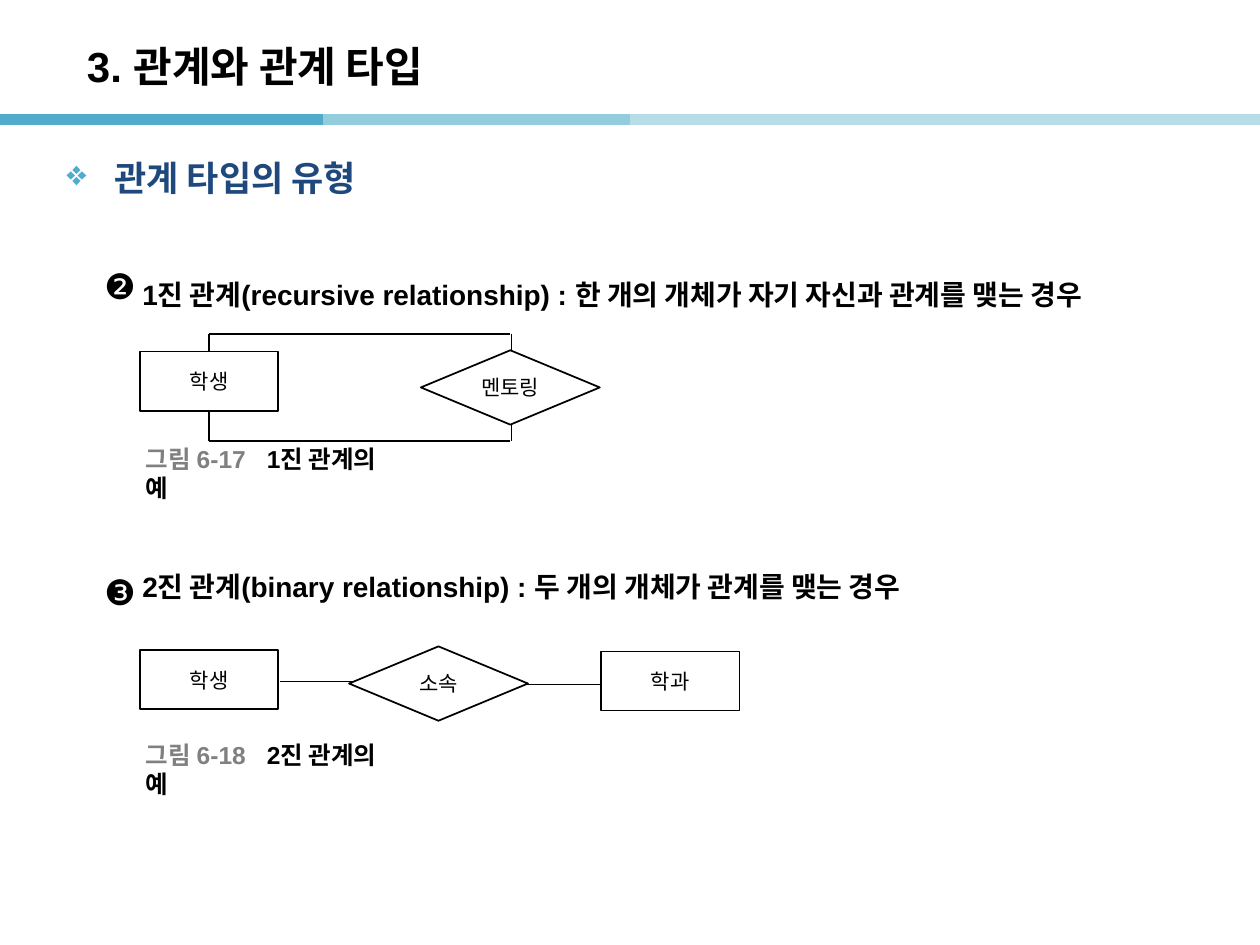
from typing import NamedTuple

from pptx import Presentation
from pptx.dml.color import RGBColor as Rgb
from pptx.enum.shapes import MSO_CONNECTOR as Conn, MSO_SHAPE as Kind
from pptx.enum.text import MSO_ANCHOR as Anchor, MSO_AUTO_SIZE as Fit, PP_ALIGN as Align
from pptx.oxml.ns import qn
from pptx.util import Inches, Pt

HUES = {
    "black": "000000", "white": "FFFFFF", "gray": "808080", "navy": "1F497D",
    "teal": "50ABCC", "aqua": "93CDDD", "pale": "B7DEE8",
}


class Line(NamedTuple):
    x1: float
    y1: float
    x2: float
    y2: float
    hue: str = "black"
    size: float = 0.75


class Node(NamedTuple):
    text: str
    x: float
    y: float
    kind: Kind = Kind.RECTANGLE


class Label(NamedTuple):
    num: str
    text: str
    y: float


BARS = [
    Line(0, 0.95, 2.56, 0.95, "teal", 6),
    Line(2.56, 0.95, 5.12, 0.95, "aqua", 6),
    Line(5, 0.95, 7.56, 0.95, "pale", 6),
    Line(7.46, 0.95, 10.02, 0.95, "pale", 6),
]
LOOP = [
    line
    for edge, side in ((2.65, 2.93), (3.5, 3.19))
    for line in (
        Line(4.05, edge, 1.66, edge),
        Line(1.66, edge, 1.66, side),
        Line(4.06, edge, 4.06, side),
    )
]
LINKS = [Line(4.76, 5.43, 4.18, 5.43), Line(2.79, 5.41, 2.22, 5.41)]
SIZES = {Kind.RECTANGLE: (1.1, 0.47), Kind.FLOWCHART_DECISION: (1.42, 0.59)}
NODES = [
    Node("학생", 1.11, 2.79),
    Node("멘토링", 3.34, 2.78, Kind.FLOWCHART_DECISION),
    Node("학과", 4.77, 5.17),
    Node("소속", 2.77, 5.13, Kind.FLOWCHART_DECISION),
    Node("학생", 1.11, 5.16),
]
NOTES = [
    Label("그림 6-17", "1진 관계의 예", 3.6),
    Label("그림 6-18", "2진 관계의 예", 5.95),
]
MARKS = [("❷", 2.11), ("❸", 4.54)]
ITEMS = [
    "1진 관계(recursive relationship) : 한 개의 개체가 자기 자신과 관계를 맺는 경우",
    "2진 관계(binary relationship) : 두 개의 개체가 관계를 맺는 경우",
]


def tint(hue: str) -> Rgb:
    return Rgb.from_string(HUES[hue])


def add_run(para, text: str, size: float, hue: str = "black", bold: bool = True) -> None:
    run = para.add_run()
    run.text = text
    font = run.font
    font.name, font.size, font.bold = "Arial", Pt(size), bold
    font.color.rgb = tint(hue)


def add_tag(para, name: str, **attrs: str):
    tag = para._p.get_or_add_pPr().makeelement(qn(name), attrs)
    para._p.get_or_add_pPr().append(tag)
    return tag


def indent(para, left: float, first: float = 0) -> None:
    props = para._p.get_or_add_pPr()
    props.set("marL", str(Inches(left)))
    props.set("indent", str(Inches(first)))


def place(shape, x: float, y: float, w: float, h: float) -> None:
    shape.left, shape.top = Inches(x), Inches(y)
    shape.width, shape.height = Inches(w), Inches(h)


def draw_line(slide, line: Line) -> None:
    ends = [Inches(v) for v in line[:4]]
    wire = slide.shapes.add_connector(Conn.STRAIGHT, *ends)
    wire.line.color.rgb = tint(line.hue)
    wire.line.width = Pt(line.size)
    props = wire._element.spPr
    props.append(props.makeelement(qn("a:effectLst"), {}))


def draw_node(slide, node: Node) -> None:
    w, h = SIZES[node.kind]
    box = slide.shapes.add_shape(
        node.kind, Inches(node.x), Inches(node.y), Inches(w), Inches(h))
    box.shadow.inherit = False
    box.fill.solid()
    box.fill.fore_color.rgb = tint("white")
    box.line.color.rgb = tint("black")
    box.line.width = Pt(1)
    frame = box.text_frame
    frame.vertical_anchor = Anchor.MIDDLE
    para = frame.paragraphs[0]
    para.alignment = Align.CENTER
    add_run(para, node.text, 12, bold=False)


def add_box(slide, x: float, y: float, w: float, h: float, wrap: bool = False):
    frame = slide.shapes.add_textbox(
        Inches(x), Inches(y), Inches(w), Inches(h)).text_frame
    frame.word_wrap = wrap
    frame.vertical_anchor = Anchor.TOP if wrap else Anchor.MIDDLE
    return frame.paragraphs[0]


def draw_note(slide, note: Label) -> None:
    para = add_box(slide, 1.06, note.y, 2.05, 0.31)
    tabs = add_tag(para, "a:tabLst")
    tabs.append(tabs.makeelement(qn("a:tab"), {"pos": str(Inches(0.96)), "algn": "l"}))
    add_run(para, note.num + "\t", 14, "gray")
    add_run(para, note.text, 14)


def draw_head(slide, text: str) -> None:
    para = add_box(slide, 0.43, 1.19, 8.82, 0.62, wrap=True)
    indent(para, 0.38, -0.38)
    hue = add_tag(para, "a:buClr")
    hue.append(hue.makeelement(qn("a:srgbClr"), {"val": HUES["teal"]}))
    add_tag(para, "a:buChar", char="❖")
    add_run(para, text, 20, "navy")


def fill_title(title, text: str) -> None:
    place(title, 0.59, 0.22, 8.27, 0.6)
    frame = title.text_frame
    frame.auto_size = Fit.NONE
    frame.vertical_anchor = Anchor.MIDDLE
    para = frame.paragraphs[0]
    para.alignment = Align.LEFT
    add_run(para, text, 24)


def fill_body(body, items: list[str]) -> None:
    place(body, 0.59, 2.02, 8.82, 5.28)
    frame = body.text_frame
    frame.auto_size = Fit.NONE
    for i, text in enumerate(items):
        para = frame.add_paragraph() if i else frame.paragraphs[0]
        indent(para, 0.44)
        para.line_spacing = 1.5
        para.space_before = Pt(138 if i else 0)
        add_tag(para, "a:buNone")
        add_run(para, text, 16)


def main() -> None:
    deck = Presentation()
    deck.slide_width, deck.slide_height = Inches(10), Inches(7.5)
    slide = deck.slides.add_slide(deck.slide_layouts[1])
    fill_title(slide.shapes.title, "3. 관계와 관계 타입")
    fill_body(slide.placeholders[1], ITEMS)
    for line in BARS + LOOP + LINKS:
        draw_line(slide, line)
    for node in NODES:
        draw_node(slide, node)
    for note in NOTES:
        draw_note(slide, note)
    for mark, y in MARKS:
        add_run(add_box(slide, 0.73, y, 0.47, 0.31), mark, 20, bold=False)
    draw_head(slide, "관계 타입의 유형")
    deck.save("out.pptx")


if __name__ == "__main__":
    main()
